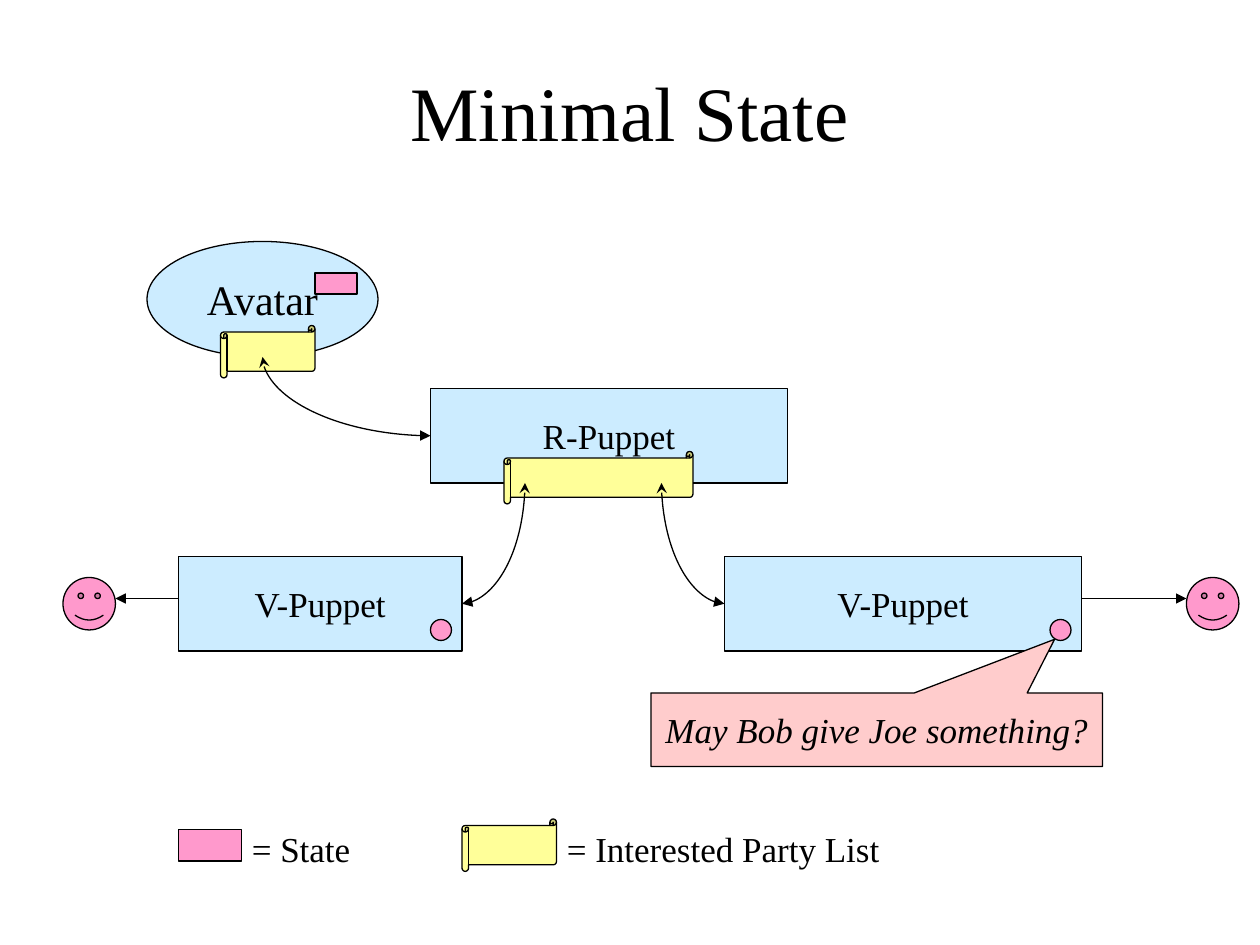
from dataclasses import dataclass

from lxml import etree
from pptx import Presentation
from pptx.dml.color import RGBColor
from pptx.enum.shapes import MSO_CONNECTOR, MSO_SHAPE
from pptx.enum.text import MSO_ANCHOR, MSO_AUTO_SIZE, PP_ALIGN
from pptx.oxml.ns import qn
from pptx.util import Pt

RECT, OVAL = MSO_SHAPE.RECTANGLE, MSO_SHAPE.OVAL
SCROLL, FACE = MSO_SHAPE.HORIZONTAL_SCROLL, MSO_SHAPE.SMILEY_FACE
CALLOUT = MSO_SHAPE.RECTANGULAR_CALLOUT
STRAIGHT, CURVE = MSO_CONNECTOR.STRAIGHT, MSO_CONNECTOR.CURVE
MIDDLE, TOP = MSO_ANCHOR.MIDDLE, MSO_ANCHOR.TOP
CENTER, LEFT = PP_ALIGN.CENTER, PP_ALIGN.LEFT
NO_FIT = MSO_AUTO_SIZE.NONE


@dataclass(frozen=True)
class Theme:
    font: str = "Times New Roman"
    ink: str = "000000"
    node: str = "CCECFF"
    state: str = "FF99CC"
    party_list: str = "FFFF99"
    question: str = "FFCCCC"
    title_size: int = 44
    avatar_size: int = 24
    body_size: int = 20
    line_width: float = 0.75


def rgb(value):
    return RGBColor.from_string(value)


class Diagram:
    def __init__(self, slide, theme):
        self.shapes = slide.shapes
        self.theme = theme

    def set_text(self, sp, text, size, align=CENTER, anchor=MIDDLE, wrap=False, italic=False):
        tf = sp.text_frame
        tf.word_wrap = wrap
        tf.auto_size = NO_FIT
        tf.vertical_anchor = anchor
        p = tf.paragraphs[0]
        p.text = text
        p.alignment = align
        p.font.name = self.theme.font
        p.font.size = Pt(size)
        p.font.italic = italic
        p.font.color.rgb = rgb(self.theme.ink)

    def label(self, box, text, size, **style):
        sp = self.shapes.add_textbox(*map(Pt, box))
        self.set_text(sp, text, size, **style)

    def outline(self, line):
        line.color.rgb = rgb(self.theme.ink)
        line.width = Pt(self.theme.line_width)

    def shape(self, kind, box, fill, adjustments=()):
        sp = self.shapes.add_shape(kind, *map(Pt, box))
        sp.shadow.inherit = False
        sp.fill.solid()
        sp.fill.fore_color.rgb = rgb(fill)
        self.outline(sp.line)
        for i, value in enumerate(adjustments):
            sp.adjustments[i] = value
        return sp

    def node(self, kind, box, text, size):
        self.set_text(self.shape(kind, box, self.theme.node), text, size)

    def scroll(self, box):
        self.shape(SCROLL, box, self.theme.party_list)

    def connector(self, kind, start, end, head=None, tail="triangle"):
        cx = self.shapes.add_connector(kind, *map(Pt, (*start, *end)))
        self.outline(cx.line)
        spPr = cx._element.spPr
        ln = spPr.find(qn("a:ln"))
        for tag, arrow in (("a:headEnd", head), ("a:tailEnd", tail)):
            if arrow:
                etree.SubElement(ln, qn(tag)).set("type", arrow)
        etree.SubElement(spPr, qn("a:effectLst"))
        return cx

    def curve(self, start, end):
        """Quarter curve that leaves start vertically and enters end horizontally."""
        (x1, y1), (x2, y2) = start, end
        mid_x, mid_y = (x1 + x2) / 2, (y1 + y2) / 2
        # The preset leaves horizontally, so its box is turned on its side.
        half_w, half_h = abs(y2 - y1) / 2, abs(x2 - x1) / 2
        cx = self.connector(CURVE, (mid_x - half_w, mid_y - half_h),
                            (mid_x + half_w, mid_y + half_h), head="stealth")
        spPr = cx._element.spPr
        spPr.find(qn("a:prstGeom")).set("prst", "curvedConnector2")
        xfrm = spPr.find(qn("a:xfrm"))
        to_right = x2 > x1
        xfrm.set("rot", str((270 if to_right else 90) * 60000))
        if to_right:
            xfrm.set("flipH", "1")


def main():
    theme = Theme()
    prs = Presentation()
    prs.slide_width, prs.slide_height = Pt(720), Pt(540)
    d = Diagram(prs.slides.add_slide(prs.slide_layouts[6]), theme)
    body = theme.body_size

    d.label((54, 18, 612, 90), "Minimal State", theme.title_size, wrap=True)

    d.node(OVAL, (84, 138, 132, 66), "Avatar", theme.avatar_size)
    d.node(RECT, (246, 222, 204, 54), "R-Puppet", body)
    d.node(RECT, (414, 318, 204, 54), "V-Puppet", body)
    d.node(RECT, (102, 318, 162, 54), "V-Puppet", body)

    for puppet_x, user_x, face_x in ((102, 66, 36), (618, 678, 678)):
        d.connector(STRAIGHT, (puppet_x, 342), (user_x, 342))
        d.shape(FACE, (face_x, 330, 30, 30), theme.state, [0.093])

    d.shape(RECT, (180, 156, 24, 12), theme.state)
    d.scroll((126, 186, 54, 30))
    d.scroll((288, 258, 108, 30))
    for start, end in (((150, 204), (246, 249)),
                       ((300, 276), (264, 345)),
                       ((378, 276), (414, 345))):
        d.curve(start, end)

    for x in (246, 600):
        d.shape(OVAL, (x, 354, 12, 12), theme.state)
    question = d.shape(CALLOUT, (372, 396, 258, 42), theme.question, [0.394, -1.23])
    d.set_text(question, "May Bob give Joe something?", body, italic=True)

    # Legend
    d.shape(RECT, (102, 474, 36, 18), theme.state)
    d.scroll((264, 468, 54, 30))
    for x, width, text in ((136.8, 70.6, "= State"),
                           (316.8, 193, "= Interested Party List")):
        d.label((x, 469.5, width, 31.5), text, body, align=LEFT, anchor=TOP)

    prs.save("out.pptx")


if __name__ == "__main__":
    main()
